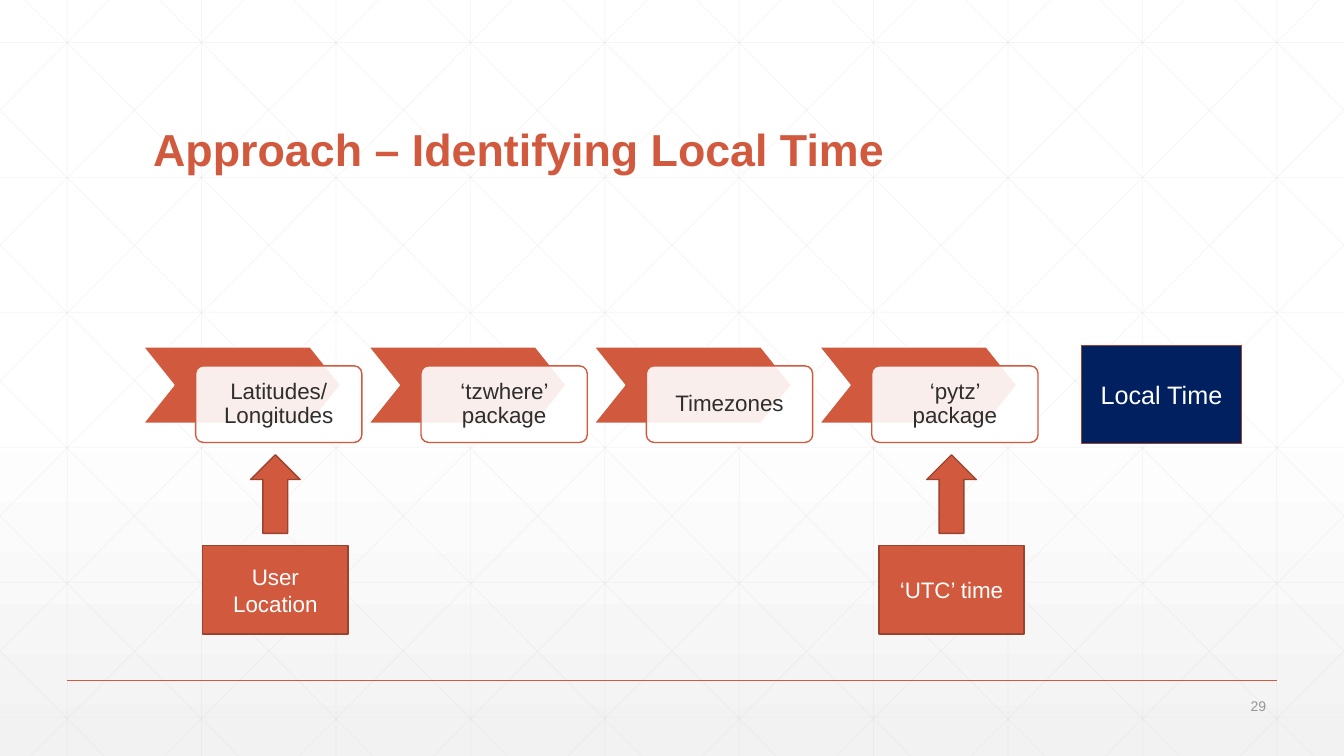
import copy

import pptx
import pptx.util
import pptx.dml.color
import pptx.enum.shapes
import pptx.enum.text
import pptx.oxml.ns
from lxml import etree

Cm = pptx.util.Cm
Pt = pptx.util.Pt
qn = pptx.oxml.ns.qn
SHAPE = pptx.enum.shapes.MSO_SHAPE
ALIGN = pptx.enum.text.PP_ALIGN
ANCHOR = pptx.enum.text.MSO_ANCHOR

TITLE = "Approach – Identifying Local Time"
PAGE = "29"
STEPS = ["Latitudes/Longitudes", "‘tzwhere’ package", "Timezones", "‘pytz’ package"]
INPUTS = {0: "User Location", 3: "‘UTC’ time"}
RESULT = "Local Time"

COLORS = {
    "white": "FFFFFF",
    "shade": "F2F2F2",
    "grid": "D9D9D9",
    "accent": "D15A3E",
    "edge": "9B432E",
    "navy": "002060",
    "ink": "2D2E2D",
    "muted": "959795",
}
FONT = "Arial"
WIDTH, HEIGHT = 33.87, 19.05
GRID_STEP = WIDTH / 10
ROW_TOP, ROW_STEP = 1.07, 3.4
DIAGONAL_START, DIAGONAL_RUN = 0.63, 18.93
STEP_LEFT, STEP_TOP, STEP_PITCH = 3.61, 8.74, 5.68
CHEVRON_W, CARD_W, STEP_H = 4.98, 4.19, 1.93
CARD_DX, CARD_DY = 1.32, 0.48
INPUT_DX, INPUT_TOP, INPUT_W, INPUT_H = 1.5, 13.74, 3.66, 2.24
ARROW_TOP, ARROW_W, ARROW_H = 11.46, 1.25, 1.98


def rgb(name):
    return pptx.dml.color.RGBColor.from_string(COLORS[name])


def set_alpha(part, percent):
    color = part.find(".//" + qn("a:srgbClr"))
    etree.SubElement(color, qn("a:alpha")).set("val", str(percent * 1000))


def add_line(slide, start, end, color, weight, alpha=None):
    line = slide.shapes.add_connector(
        pptx.enum.shapes.MSO_CONNECTOR.STRAIGHT, *map(Cm, start + end))
    line.line.color.rgb = rgb(color)
    line.line.width = Pt(weight)
    properties = line.element.spPr
    if alpha:
        set_alpha(properties, alpha)
    etree.SubElement(properties, qn("a:effectLst"))


def add_block(slide, kind, box, fill, edge):
    block = slide.shapes.add_shape(kind, *map(Cm, box))
    block.shadow.inherit = False
    block.fill.solid()
    block.fill.fore_color.rgb = rgb(fill)
    block.line.color.rgb = rgb(edge)
    block.line.width = Pt(1)
    return block


def write(block, text, size, color, align=ALIGN.CENTER, anchor=ANCHOR.MIDDLE,
          bold=False, spacing=None):
    frame = block.text_frame
    frame.text = text
    frame.word_wrap = True
    frame.vertical_anchor = anchor
    paragraph = frame.paragraphs[0]
    paragraph.alignment = align
    if spacing:
        paragraph.line_spacing = spacing
    font = paragraph.runs[0].font
    font.name = FONT
    font.size = Pt(size)
    font.bold = bold
    font.color.rgb = rgb(color)


def paint_background(slide):
    fill = slide.background.fill
    fill.gradient()
    fill.gradient_angle = 270
    upper, lower = fill.gradient_stops
    upper.color.rgb = rgb("white")
    upper.position = 0
    lower.color.rgb = rgb("shade")
    lower.position = 1
    stops = slide.element.find(".//" + qn("a:gsLst"))
    middle = copy.deepcopy(stops[0])
    middle.set("pos", "53000")
    stops.insert(1, middle)


def diagonal(start):
    slope = HEIGHT / DIAGONAL_RUN
    left = max(start, 0)
    right = min(start + DIAGONAL_RUN, WIDTH)
    return (left, (left - start) * slope), (right, (right - start) * slope)


def draw_grid(slide):
    lines = []
    for column in range(10):
        x = (column + 0.5) * GRID_STEP
        lines.append(((x, 0), (x, HEIGHT)))
    for row in range(6):
        y = ROW_TOP + row * ROW_STEP
        lines.append(((0, y), (WIDTH, y)))
    for index in range(-5, 10):
        (x1, y1), (x2, y2) = diagonal(DIAGONAL_START + index * GRID_STEP)
        lines.append(((x1, y1), (x2, y2)))
        lines.append(((WIDTH - x1, y1), (WIDTH - x2, y2)))
    for start, end in lines:
        add_line(slide, start, end, "grid", 0.5, 25)


def draw_step(slide, index, text):
    left = STEP_LEFT + index * STEP_PITCH
    chevron = add_block(slide, SHAPE.CHEVRON, (left, STEP_TOP, CHEVRON_W, STEP_H),
                        "accent", "white")
    chevron.adjustments[0] = 0.4
    card = add_block(slide, SHAPE.ROUNDED_RECTANGLE,
                     (left + CARD_DX, STEP_TOP + CARD_DY, CARD_W, STEP_H),
                     "white", "accent")
    card.adjustments[0] = 0.1
    set_alpha(card.element.spPr.find(qn("a:solidFill")), 90)
    write(card, text, 16, "ink", spacing=0.9)
    frame = card.text_frame
    frame.margin_left = frame.margin_right = Cm(0.3)
    frame.margin_top = frame.margin_bottom = Cm(0.3)


def draw_input(slide, index, text):
    left = STEP_LEFT + index * STEP_PITCH + INPUT_DX
    source = add_block(slide, SHAPE.RECTANGLE, (left, INPUT_TOP, INPUT_W, INPUT_H),
                       "accent", "edge")
    write(source, text, 16, "white")
    arrow_left = left + (INPUT_W - ARROW_W) / 2
    add_block(slide, SHAPE.UP_ARROW, (arrow_left, ARROW_TOP, ARROW_W, ARROW_H),
              "accent", "edge")


def main():
    deck = pptx.Presentation()
    deck.slide_width, deck.slide_height = Cm(WIDTH), Cm(HEIGHT)
    slide = deck.slides.add_slide(deck.slide_layouts[6])
    paint_background(slide)
    draw_grid(slide)
    add_line(slide, (1.69, 17.15), (32.18, 17.15), "accent", 1)

    title = slide.shapes.add_textbox(Cm(3.61), Cm(1.4), Cm(26.67), Cm(3.17))
    write(title, TITLE, 32, "accent", ALIGN.LEFT, ANCHOR.BOTTOM, True, 0.9)
    page = slide.shapes.add_textbox(Cm(29.62), Cm(17.48), Cm(2.54), Cm(0.61))
    write(page, PAGE, 10, "muted", ALIGN.RIGHT)

    for index, step in enumerate(STEPS):
        draw_step(slide, index, step)
    result = add_block(slide, SHAPE.RECTANGLE, (27.25, 8.71, 4.04, 2.46), "navy", "edge")
    write(result, RESULT, 18, "white")
    for index, source in INPUTS.items():
        draw_input(slide, index, source)
    deck.save("out.pptx")


if __name__ == "__main__":
    main()
